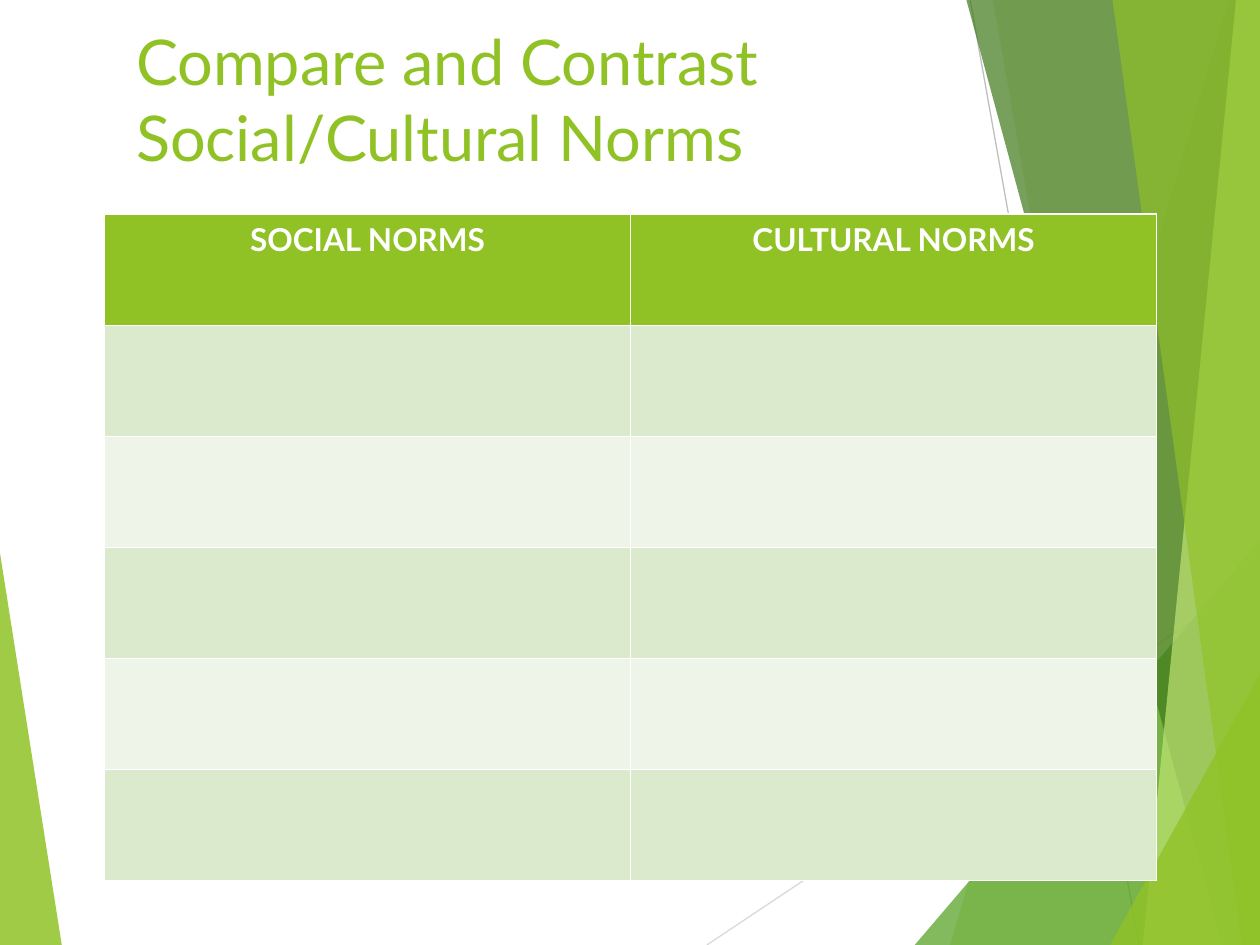
from lxml.etree import SubElement
from pptx import Presentation
from pptx.dml.color import RGBColor
from pptx.enum.shapes import MSO_CONNECTOR
from pptx.enum.text import MSO_ANCHOR, MSO_AUTO_SIZE, PP_ALIGN
from pptx.oxml.ns import qn
from pptx.util import Inches, Pt

WIDTH, HEIGHT = 10, 7.5
WHITE = RGBColor(0xFF, 0xFF, 0xFF)
LIME = RGBColor(0x90, 0xC2, 0x26)
PALE_LIME = RGBColor(0xC0, 0xE4, 0x74)
GREEN = RGBColor(0x54, 0xA0, 0x21)
DARK_GREEN = RGBColor(0x3F, 0x78, 0x19)
LIGHT_GREY = RGBColor(0xD9, 0xD9, 0xD9)
GREY = RGBColor(0xBF, 0xBF, 0xBF)
BANDS = RGBColor(0xDB, 0xE9, 0xCD), RGBColor(0xEE, 0xF4, 0xE8)

HEADERS = ("SOCIAL NORMS", "CULTURAL NORMS")
ROW_COUNT = 6
TITLE_FONT = {"name": "Lato", "size": Pt(36), "bold": False}
HEADER_FONT = {"name": "Lato", "size": Pt(18), "bold": True}
RAYS = (
    ((5.61, HEIGHT), (WIDTH, 4.57), LIGHT_GREY),
    ((7.7, 0), (9.04, HEIGHT), GREY),
)
LEFT_FACET = ((0, 4.39), (0.49, HEIGHT), (0, HEIGHT))
RIGHT_FACETS = (
    (9.75, 0, 7.54, LIME, 30),
    (7.88, 0, 9.19, LIME, 20),
    (WIDTH, 4.29, 7.26, GREEN, 72),
    (7.67, 0, 9.7, DARK_GREEN, 70),
    (9.81, 0, 9.07, PALE_LIME, 70),
    (8.83, 0, 9.86, LIME, 65),
    (WIDTH, 5.35, 8.81, LIME, 80),
)


def format_font(font, values, color):
    """Apply a dict of format values and a colour to a font."""
    for name, value in values.items():
        setattr(font, name, value)
    font.color.rgb = color


def add_facet(slide, points, color, opacity):
    """Draw a translucent polygon through points given in inches."""
    start, *others = [(Inches(x), Inches(y)) for x, y in points]
    builder = slide.shapes.build_freeform(*start)
    builder.add_line_segments(others, close=True)
    shape = builder.convert_to_shape()
    shape.shadow.inherit = False
    shape.line.fill.background()
    shape.fill.solid()
    shape.fill.fore_color.rgb = color
    color_element = shape.element.spPr.find(qn("a:solidFill"))[0]
    SubElement(color_element, qn("a:alpha"), val=str(opacity * 1000))


def add_right_facet(slide, top_x, top_y, bottom_x, color, opacity):
    """Draw a facet from a slanted left edge to the slide's right edge."""
    points = ((top_x, top_y), (bottom_x, HEIGHT), (WIDTH, HEIGHT), (WIDTH, top_y))
    add_facet(slide, points, color, opacity)


def add_ray(slide, start, end, color):
    """Draw a thin line between two points given in inches."""
    ends = [Inches(value) for value in (*start, *end)]
    connector = slide.shapes.add_connector(MSO_CONNECTOR.STRAIGHT, *ends)
    connector.line.color.rgb = color
    connector.line.width = Pt(0.75)
    SubElement(connector.element.spPr, qn("a:effectLst"))


def place_title(slide, text):
    """Fill the title placeholder and lift it above the facets."""
    title = slide.shapes.title
    box = {"left": 0.98, "top": 0.13, "width": 6.94, "height": 1.44}
    for name, value in box.items():
        setattr(title, name, Inches(value))
    frame = title.text_frame
    frame.text = text
    frame.auto_size = MSO_AUTO_SIZE.NONE
    frame.vertical_anchor = MSO_ANCHOR.TOP
    paragraph = frame.paragraphs[0]
    paragraph.alignment = PP_ALIGN.LEFT
    format_font(paragraph.runs[0].font, TITLE_FONT, LIME)
    slide.shapes.element.append(title.element)


def add_norms_table(slide):
    """Add the comparison grid with a header row and banded empty rows."""
    box = [Inches(value) for value in (0.83, 1.7, 8.35, 5.29)]
    table = slide.shapes.add_table(ROW_COUNT, len(HEADERS), *box).table
    for row_index, row in enumerate(table.rows):
        for cell in row.cells:
            cell.fill.solid()
            cell.fill.fore_color.rgb = BANDS[(row_index - 1) % 2] if row_index else LIME
    for cell, header in zip(table.rows[0].cells, HEADERS):
        cell.text = header
        paragraph = cell.text_frame.paragraphs[0]
        paragraph.alignment = PP_ALIGN.CENTER
        format_font(paragraph.runs[0].font, HEADER_FONT, WHITE)


def main():
    """Build the slide and save the presentation."""
    presentation = Presentation()
    presentation.slide_width = Inches(WIDTH)
    presentation.slide_height = Inches(HEIGHT)
    slide = presentation.slides.add_slide(presentation.slide_layouts[5])
    add_facet(slide, LEFT_FACET, LIME, 85)
    for ray in RAYS:
        add_ray(slide, *ray)
    for facet in RIGHT_FACETS:
        add_right_facet(slide, *facet)
    place_title(slide, "Compare and Contrast Social/Cultural Norms")
    add_norms_table(slide)
    presentation.save("out.pptx")


if __name__ == "__main__":
    main()
